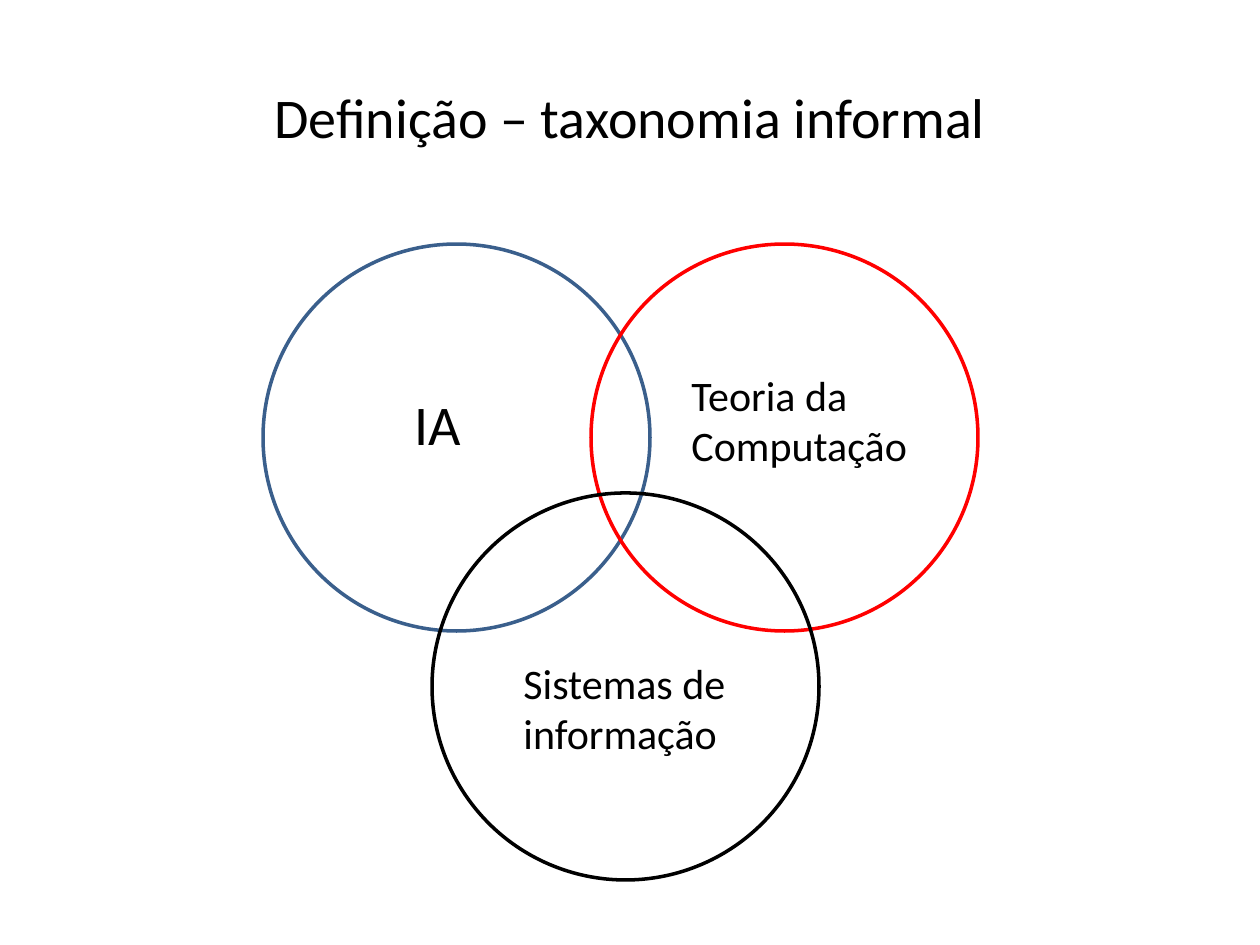
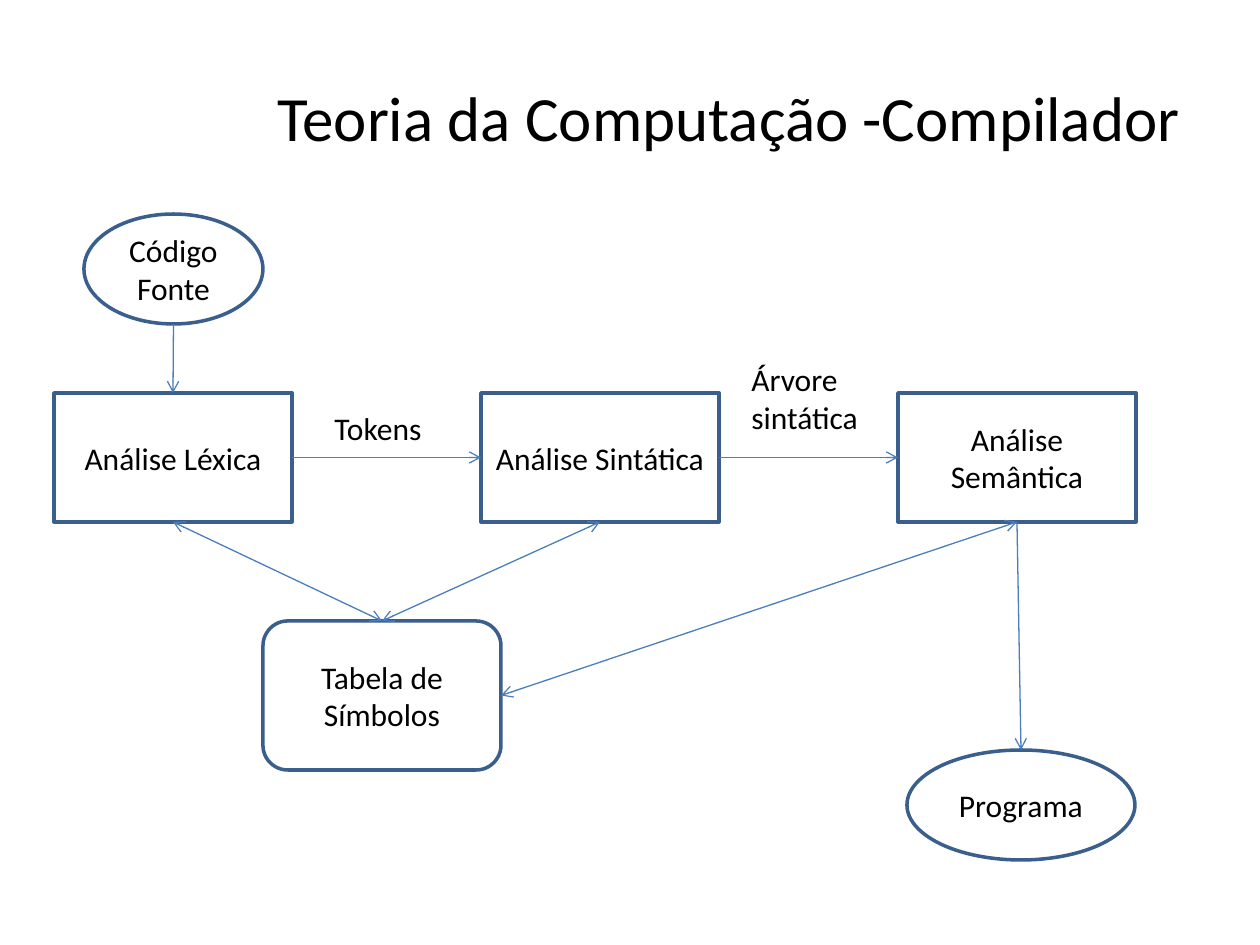
from lxml import etree
from pptx import Presentation
from pptx.dml.color import RGBColor
from pptx.enum.shapes import MSO_CONNECTOR, MSO_SHAPE
from pptx.enum.text import MSO_ANCHOR, MSO_AUTO_SIZE, PP_ALIGN
from pptx.oxml.ns import qn
from pptx.util import Emu, Pt

LEFT, CENTER, RIGHT = PP_ALIGN.LEFT, PP_ALIGN.CENTER, PP_ALIGN.RIGHT
TOP, MIDDLE = MSO_ANCHOR.TOP, MSO_ANCHOR.MIDDLE
RECTANGLE, ROUNDED, OVAL = MSO_SHAPE.RECTANGLE, MSO_SHAPE.ROUNDED_RECTANGLE, MSO_SHAPE.OVAL
STRAIGHT = MSO_CONNECTOR.STRAIGHT
NO_AUTOSIZE = MSO_AUTO_SIZE.NONE

PIXELS_PER_INCH = 126
SLIDE_SIZE = (1260, 945)
TITLE_BOX = (63, 38, 1134, 157)
TITLE_INSET = 17
FONT = "Calibri"
COLORS = {"text": "000000", "outline": "3A5F8C", "arrow": "4B7EBC", "red": "FF0000", "black": "000000"}

TAXONOMY_TITLE = "Definição – taxonomia informal"
CIRCLE_SIZE = 387
CIRCLES = [(263, 244, "outline"), (591, 244, "red"), (432, 493, "black")]
CIRCLE_LABELS = [
    ("IA", (402, 383, 118, 81), 32),
    ("Teoria da Computação", (679, 363, 258, 115), 24),
    ("Sistemas de informação", (511, 651, 258, 115), 24),
]

COMPILER_TITLE = "Teoria da Computação -Compilador"
STAGE_TOP, STAGE_WIDTH, STAGE_HEIGHT = 393, 238, 129
STAGES = {"Análise Léxica": 54, "Análise Sintática": 481, "Análise Semântica": 898}
NODES = {
    stage: (RECTANGLE, (left, STAGE_TOP, STAGE_WIDTH, STAGE_HEIGHT))
    for stage, left in STAGES.items()
}
NODES["Código Fonte"] = (OVAL, (84, 214, 179, 110))
NODES["Programa"] = (OVAL, (907, 750, 228, 110))
NODES["Tabela de Símbolos"] = (ROUNDED, (263, 621, 238, 149))
ARROWS = [
    ("Código Fonte", "bottom", "Análise Léxica", "top", False),
    ("Análise Léxica", "bottom", "Tabela de Símbolos", "top", True),
    ("Tabela de Símbolos", "top", "Análise Sintática", "bottom", True),
    ("Tabela de Símbolos", "right", "Análise Semântica", "bottom", True),
    ("Análise Semântica", "bottom", "Programa", "top", False),
    ("Análise Léxica", "right", "Análise Sintática", "left", False),
    ("Análise Sintática", "right", "Análise Semântica", "left", False),
]
ARROW_LABELS = [
    ("Tokens", (322, 403, 118, 50), 18),
    ("Árvore sintática", (739, 354, 139, 89), 18),
]
SIDES = {"top": (0.5, 0), "bottom": (0.5, 1), "left": (0, 0.5), "right": (1, 0.5)}


def px(length):
    return Emu(round(length * 914400 / PIXELS_PER_INCH))


def scaled(lengths):
    return [px(length) for length in lengths]


def color(name):
    return RGBColor.from_string(COLORS[name])


def write_text(frame, text, size=18, align=LEFT, anchor=TOP):
    frame.word_wrap = True
    frame.auto_size = NO_AUTOSIZE
    frame.vertical_anchor = anchor
    paragraph = frame.paragraphs[0]
    paragraph.alignment = align
    run = paragraph.add_run()
    run.text = text
    run.font.name = FONT
    run.font.size = Pt(size)
    run.font.color.rgb = color("text")


def add_titled_slide(presentation, text, size, align=CENTER):
    slide = presentation.slides.add_slide(presentation.slide_layouts[5])
    title = slide.shapes.title
    title.left, title.top, title.width, title.height = scaled(TITLE_BOX)
    title.text_frame.margin_right = title.text_frame.margin_left = px(TITLE_INSET)
    write_text(title.text_frame, text, size=size, align=align, anchor=MIDDLE)
    return slide


def add_outline(slide, kind, box, line_color="outline"):
    shape = slide.shapes.add_shape(kind, *scaled(box))
    shape.shadow.inherit = False
    shape.fill.background()
    shape.line.color.rgb = color(line_color)
    shape.line.width = Pt(2)
    return shape


def add_labels(slide, labels):
    for text, box, size in labels:
        label = slide.shapes.add_textbox(*scaled(box))
        write_text(label.text_frame, text, size=size)


def side_point(node, side):
    left, top, width, height = NODES[node][1]
    across, down = SIDES[side]
    return left + across * width, top + down * height


def add_arrow(slide, start, end, both_ends):
    connector = slide.shapes.add_connector(STRAIGHT, *scaled(start + end))
    connector.line.color.rgb = color("arrow")
    connector.line.width = Pt(0.75)
    line = connector.line._get_or_add_ln()
    for tag in ["a:headEnd", "a:tailEnd"] if both_ends else ["a:tailEnd"]:
        etree.SubElement(line, qn(tag), type="arrow")
    etree.SubElement(connector._element.spPr, qn("a:effectLst"))


def build_taxonomy(presentation):
    slide = add_titled_slide(presentation, TAXONOMY_TITLE, 32)
    for left, top, line_color in CIRCLES:
        add_outline(slide, OVAL, (left, top, CIRCLE_SIZE, CIRCLE_SIZE), line_color)
    add_labels(slide, CIRCLE_LABELS)


def build_compiler(presentation):
    slide = add_titled_slide(presentation, COMPILER_TITLE, 36, align=RIGHT)
    for text, (kind, box) in NODES.items():
        shape = add_outline(slide, kind, box)
        write_text(shape.text_frame, text, align=CENTER, anchor=MIDDLE)
    for source, source_side, target, target_side, both_ends in ARROWS:
        add_arrow(slide, side_point(source, source_side), side_point(target, target_side), both_ends)
    add_labels(slide, ARROW_LABELS)


def main():
    presentation = Presentation()
    presentation.slide_width, presentation.slide_height = scaled(SLIDE_SIZE)
    build_taxonomy(presentation)
    build_compiler(presentation)
    presentation.save("out.pptx")


if __name__ == "__main__":
    main()
